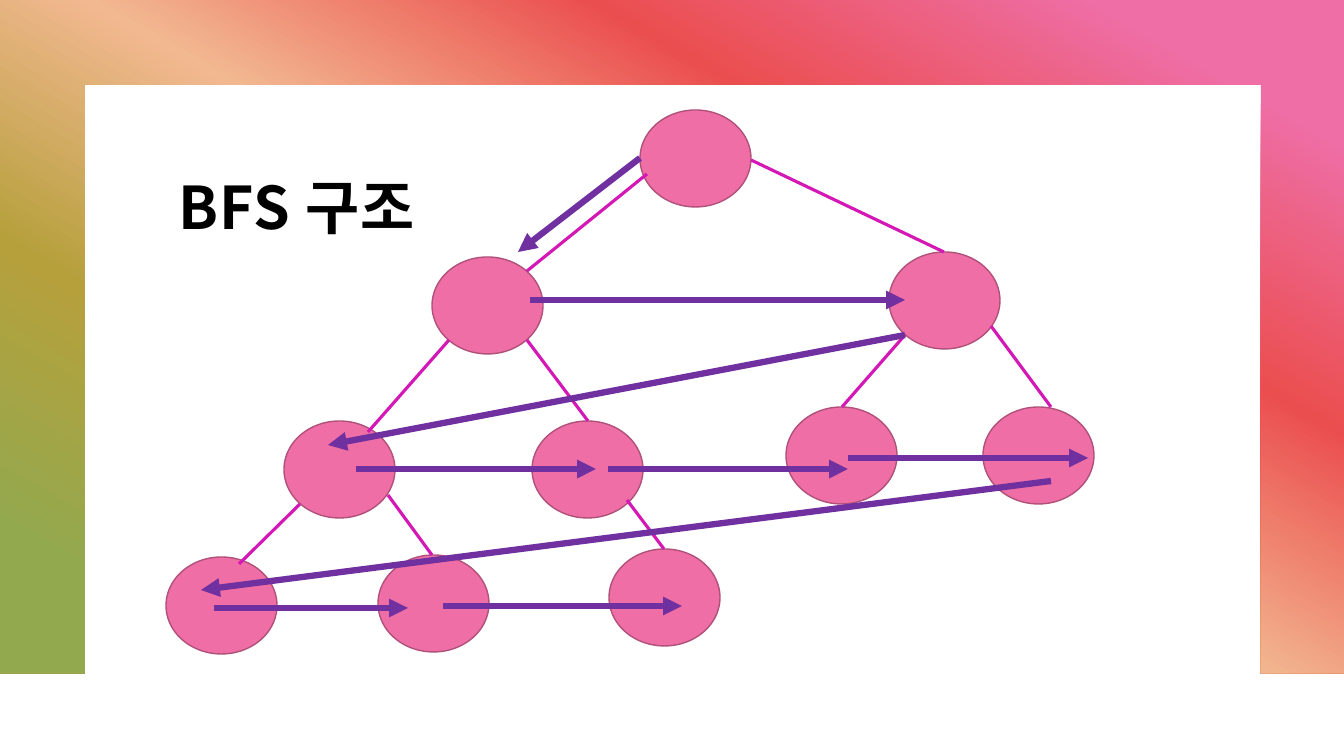
from lxml import etree
from pptx import Presentation
from pptx import util as u
from pptx.dml.color import RGBColor
from pptx.enum import shapes, text
from pptx.oxml import parse_xml
from pptx.oxml.ns import nsdecls, qn

PX = 914400 / 100.8
WIDE, HIGH = 1344, 756
PINK = RGBColor(0xEE, 0x6E, 0xA5)
ROSE = RGBColor(0xB0, 0x51, 0x7A)
MAGENTA = RGBColor(0xD3, 0x18, 0xB5)
PURPLE = RGBColor(0x70, 0x30, 0xA0)
BLACK = RGBColor(0, 0, 0)
RED = RGBColor(0xEB, 0x4E, 0x4F)
PEACH = RGBColor(0xF2, 0xB8, 0x90)
OLIVE = RGBColor(0xB6, 0xA0, 0x3C)
GREEN = RGBColor(0x93, 0xA9, 0x4E)
FONT = "Noto Sans CJK KR"


def px(*nums):
    return [u.Emu(round(n * PX)) for n in nums]


def link(ends, color, size):
    line = slide.shapes.add_connector(shapes.MSO_CONNECTOR.STRAIGHT, *px(*ends))
    line.line.color.rgb = color
    line.line.width = u.Pt(size)
    etree.SubElement(line._element.spPr, qn("a:effectLst"))
    return line


deck = Presentation()
deck.slide_width, deck.slide_height = px(WIDE, HIGH)
slide = deck.slides.add_slide(deck.slide_layouts[5])

border = [(0, 0), (1344, 0), (1344, 673), (1261, 673), (1261, 85), (85, 85), (85, 673), (0, 673)]
pen = slide.shapes.build_freeform(*border[0], scale=PX)
pen.add_line_segments(border[1:], close=True)
frame = pen.convert_to_shape()
frame.shadow.inherit = False
frame.line.fill.background()
colors = [PINK, RED, PEACH, OLIVE, GREEN]
stops = "".join(
    f'<a:gs pos="{10000 + 20000 * i}"><a:srgbClr val="{color}"/></a:gs>'
    for i, color in enumerate(colors)
)
blend = parse_xml(
    f'<a:gradFill {nsdecls("a")} rotWithShape="1"><a:gsLst>{stops}</a:gsLst>'
    '<a:lin ang="7200000" scaled="0"/></a:gradFill>'
)
frame._element.spPr.find(qn("a:custGeom")).addnext(blend)

nodes = [
    (640, 110), (889, 252), (432, 257), (983, 407), (609, 549),
    (786, 407), (284, 421), (532, 421), (166, 557), (378, 555),
]
for left, top in nodes:
    node = slide.shapes.add_shape(shapes.MSO_SHAPE.OVAL, *px(left, top, 111, 97))
    node.shadow.inherit = False
    node.fill.solid()
    node.fill.fore_color.rgb = PINK
    node.line.color.rgb = ROSE
    node.line.width = u.Pt(1)

edges = [
    (647, 174, 527, 271), (449, 340, 368, 432), (527, 340, 588, 421),
    (300, 504, 239, 564), (388, 495, 432, 555), (627, 500, 664, 549),
    (751, 160, 944, 252), (905, 335, 842, 407), (991, 326, 1051, 407),
]
for edge in edges:
    link(edge, MAGENTA, 2.25)

steps = [
    (640, 158, 518, 252), (530, 300, 905, 300), (905, 335, 328, 445),
    (356, 469, 596, 469), (608, 469, 848, 469), (848, 458, 1088, 458),
    (1051, 481, 201, 590), (214, 608, 408, 608), (443, 606, 682, 606),
]
for step in steps:
    arrow = link(step, PURPLE, 4.5)
    etree.SubElement(arrow.line._get_or_add_ln(), qn("a:tailEnd"), type="triangle")

title = slide.shapes.title
title.left, title.top, title.width, title.height = px(167, 167, 1008, 148)
body = title.text_frame
body.text = "BFS 구조"
body.word_wrap = True
body.auto_size = text.MSO_AUTO_SIZE.NONE
body.vertical_anchor = text.MSO_ANCHOR.TOP
body.margin_left, body.margin_top, body.margin_right, body.margin_bottom = px(12, 12, 12, 10)
para = body.paragraphs[0]
para.alignment = text.PP_ALIGN.LEFT
para.line_spacing = 0.9
run = para.runs[0]
run.font.name = FONT
run.font.size = u.Pt(42)
run.font.bold = True
run.font.color.rgb = BLACK
props = run.font._element
props.set("spc", "70")
etree.SubElement(props, qn("a:ea"), typeface=FONT)

deck.save("out.pptx")
